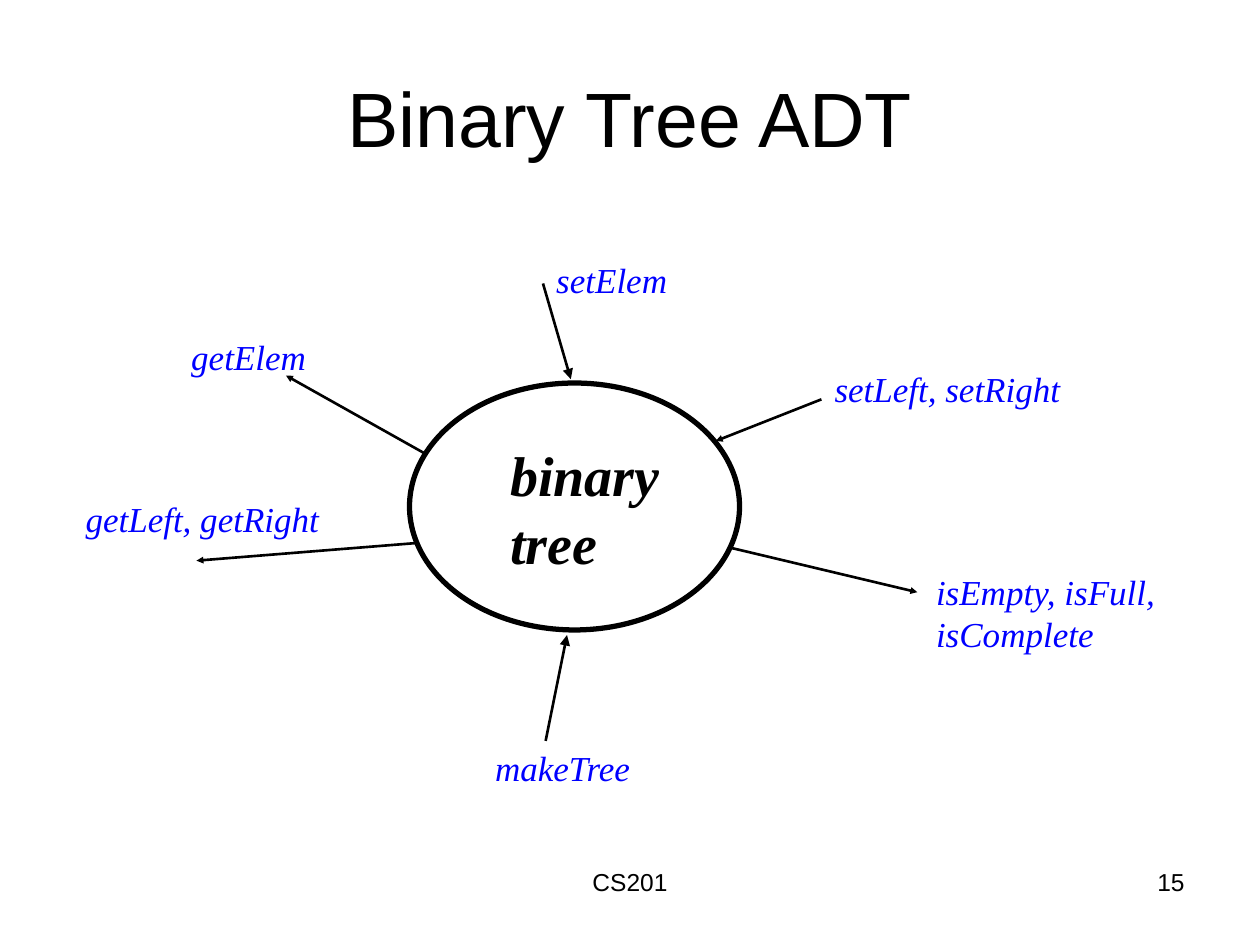
import pptx
import pptx.util
import pptx.dml.color
import pptx.enum.shapes
import pptx.enum.text
import pptx.oxml.ns
import lxml.etree

Pt = pptx.util.Pt
Align = pptx.enum.text.PP_ALIGN
BLACK = pptx.dml.color.RGBColor(0, 0, 0)
BLUE = pptx.dml.color.RGBColor(0, 0, 255)
SANS, SERIF = "Arial", "Times New Roman"

LABELS = [
    ("setElem", 269, 0, 80, 31.7),
    ("getElem", 60.4, 43.9, 82, 31.7),
    ("setLeft, setRight", 428, 62.6, 147, 31.7),
    ("getLeft, getRight", 0, 136.8, 152, 31.7),
    ("isEmpty, isFull,\nisComplete", 486, 178.6, 149, 55.4),
    ("makeTree", 234, 279, 96, 31.7),
]
ARROWS = [
    (268.5, 18, 284.4, 72.7, "med"),
    (202.3, 115.9, 121.6, 70.6, "sm"),
    (427.6, 84.2, 367.2, 108, "sm"),
    (196.5, 166.3, 70.5, 176.4, "sm"),
    (376.5, 169.2, 482.4, 194.4, "sm"),
    (270, 279.4, 282.2, 218.9, "med"),
]


def add_text(slide, box, text, size, name, color=BLACK, align=Align.LEFT,
             wrap=True, bold=False, slant=False):
    """Place styled text, one paragraph a line, and return its frame."""
    frame = slide.shapes.add_textbox(*map(Pt, box)).text_frame
    frame.word_wrap = wrap
    if not wrap:
        frame.auto_size = pptx.enum.text.MSO_AUTO_SIZE.SHAPE_TO_FIT_TEXT
    frame.text = text
    for para in frame.paragraphs:
        para.alignment = align
        font = para.font
        font.name, font.size = name, Pt(size)
        font.bold, font.italic = bold, slant
        font.color.rgb = color
    return frame


def add_arrow(slide, start, end, size):
    """Draw a line with a triangle of the given size at its end."""
    line = slide.shapes.add_connector(
        pptx.enum.shapes.MSO_CONNECTOR.STRAIGHT, *map(Pt, start + end))
    line.line.color.rgb = BLACK
    line.line.width = Pt(1.5)
    qn = pptx.oxml.ns.qn
    props = line._element.spPr
    tail = lxml.etree.SubElement(props.find(qn("a:ln")), qn("a:tailEnd"))
    for key, value in (("type", "triangle"), ("w", size), ("len", size)):
        tail.set(key, value)
    lxml.etree.SubElement(props, qn("a:effectLst"))


def add_title(slide, box):
    """Place the slide title, centred in its box."""
    frame = add_text(slide, box, "Binary Tree ADT", 44, SANS,
                     align=Align.CENTER)
    frame.vertical_anchor = pptx.enum.text.MSO_ANCHOR.MIDDLE


def add_footer(slide, box):
    """Place the course name and the page number."""
    left, top, width, height = box
    add_text(slide, (left, top, 228, height), "CS201", 14, SANS,
             align=Align.CENTER)
    add_text(slide, (left + width - 168, top, 168, height), "15", 14, SANS,
             align=Align.RIGHT)


def add_diagram(slide, left, top):
    """Draw the tree type and the operations around it."""
    add_text(slide, (left + 242.6, top + 104.4, 106, 84.2), "binary\ntree",
             32, SERIF, wrap=False, bold=True, slant=True)
    oval = slide.shapes.add_shape(
        pptx.enum.shapes.MSO_SHAPE.OVAL, Pt(left + 192.2), Pt(top + 74.9),
        Pt(188.6), Pt(141.1))
    oval.shadow.inherit = False
    oval.fill.background()
    oval.line.color.rgb = BLACK
    oval.line.width = Pt(3)
    for x1, y1, x2, y2, size in ARROWS:
        add_arrow(slide, (left + x1, top + y1), (left + x2, top + y2), size)
    for text, x, y, width, height in LABELS:
        add_text(slide, (left + x, top + y, width, height), text, 20, SERIF,
                 BLUE, wrap=False, slant=True)


def main():
    """Build the slide and save it."""
    deck = pptx.Presentation()
    deck.slide_width, deck.slide_height = Pt(720), Pt(540)
    slide = deck.slides.add_slide(deck.slide_layouts[6])
    add_footer(slide, (246, 492, 438, 37.5))
    add_title(slide, (36, 21.6, 648, 90))
    add_diagram(slide, 41.8, 144)
    deck.save("out.pptx")


if __name__ == "__main__":
    main()
